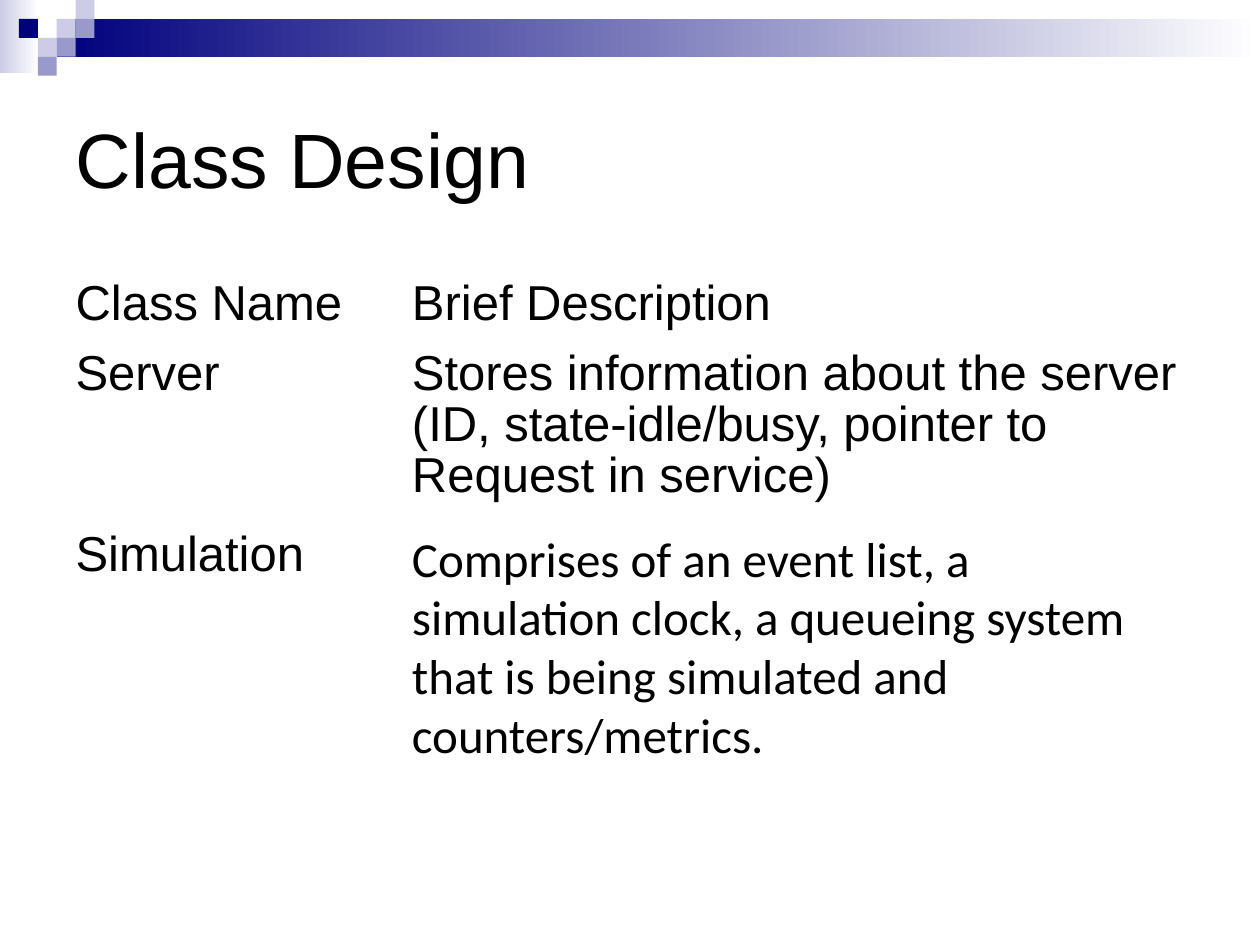
from pptx import Presentation
from pptx.dml.color import RGBColor as RGB
from pptx.enum.shapes import MSO_SHAPE as Shape
from pptx.enum.text import MSO_ANCHOR as Anchor, PP_ALIGN as Align
from pptx.util import Inches, Pt

TITLE = "Class Design"
CLASSES = [
    ("Class Name", "Brief Description"),
    ("Server", "Stores information about the server (ID, state-idle/busy, "
               "pointer to Request in service)"),
    ("Simulation", "Comprises of an event list, a simulation clock, a queueing system "
                   "that is being simulated and counters/metrics."),
    ("", ""),
    ("", ""),
    ("", ""),
]
COLUMN_WIDTHS = [2.67, 6.33]
ROW_HEIGHTS = [0.56, 1.43, 1.94, 0.6, 0.6, 0.6]

THEME = {
    "navy": RGB(0x00, 0x00, 0x7D),
    "violet": RGB(0x99, 0x99, 0xCC),
    "lilac": RGB(0xCC, 0xCC, 0xE6),
    "white": RGB(0xFF, 0xFF, 0xFF),
    "title": {"size": Pt(44), "name": "Arial", "color": RGB(0, 0, 0)},
    "cell": {"size": Pt(28), "name": "Arial", "color": RGB(0, 0, 0)},
    "description": {"size": Pt(28), "name": "Calibri", "color": RGB(0, 0, 0)},
}

BANDS = [((0, 0, 0.31, 0.58), "lilac"), ((0.45, 0.15, 9.55, 0.3), "navy")]
TILE = 0.15
TILES = [
    (3, 1, "lilac"), (4, 0, "lilac"), (4, 1, "violet"), (2, 2, "lilac"),
    (1, 1, "navy"), (3, 2, "violet"), (2, 3, "violet"),
]


def set_font(paragraph, role):
    for key, value in THEME[role].items():
        if key == "color":
            paragraph.font.color.rgb = value
        else:
            setattr(paragraph.font, key, value)


def add_block(slide, box):
    block = slide.shapes.add_shape(Shape.RECTANGLE, *map(Inches, box))
    block.shadow.inherit = False
    block.line.fill.background()
    return block


def add_header(slide):
    for box, color in BANDS:
        fill = add_block(slide, box).fill
        fill.gradient()
        fill.gradient_angle = 180
        for stop, name in zip(fill.gradient_stops, ("white", color)):
            stop.color.rgb = THEME[name]
    for column, row, color in TILES:
        fill = add_block(slide, (column * TILE, row * TILE, TILE, TILE)).fill
        fill.solid()
        fill.fore_color.rgb = THEME[color]


def add_title(slide):
    title = slide.shapes.title
    frame = {"left": 0.5, "top": 0.5, "width": 9, "height": 1.5}
    for key, value in frame.items():
        setattr(title, key, Inches(value))
    title.text_frame.text = TITLE
    title.text_frame.vertical_anchor = Anchor.MIDDLE
    heading = title.text_frame.paragraphs[0]
    heading.alignment = Align.LEFT
    set_font(heading, "title")


def add_classes(slide):
    table = slide.shapes.add_table(
        len(CLASSES), len(COLUMN_WIDTHS), Inches(0.5), Inches(2.17),
        Inches(sum(COLUMN_WIDTHS)), Inches(sum(ROW_HEIGHTS))).table
    table.first_row = table.horz_banding = False
    for column, width in zip(table.columns, COLUMN_WIDTHS):
        column.width = Inches(width)
    for row, height, entries in zip(table.rows, ROW_HEIGHTS, CLASSES):
        row.height = Inches(height)
        for cell, entry in zip(row.cells, entries):
            cell.fill.background()
            cell.text = entry
            is_long = entry.startswith("Comprises")
            paragraph = cell.text_frame.paragraphs[0]
            paragraph.line_spacing = 0.98 if is_long else 0.93
            set_font(paragraph, "description" if is_long else "cell")


def main():
    deck = Presentation()
    deck.slide_width, deck.slide_height = Inches(10), Inches(7.5)
    slide = deck.slides.add_slide(deck.slide_layouts[5])
    add_header(slide)
    add_title(slide)
    add_classes(slide)
    deck.save("out.pptx")


if __name__ == "__main__":
    main()
